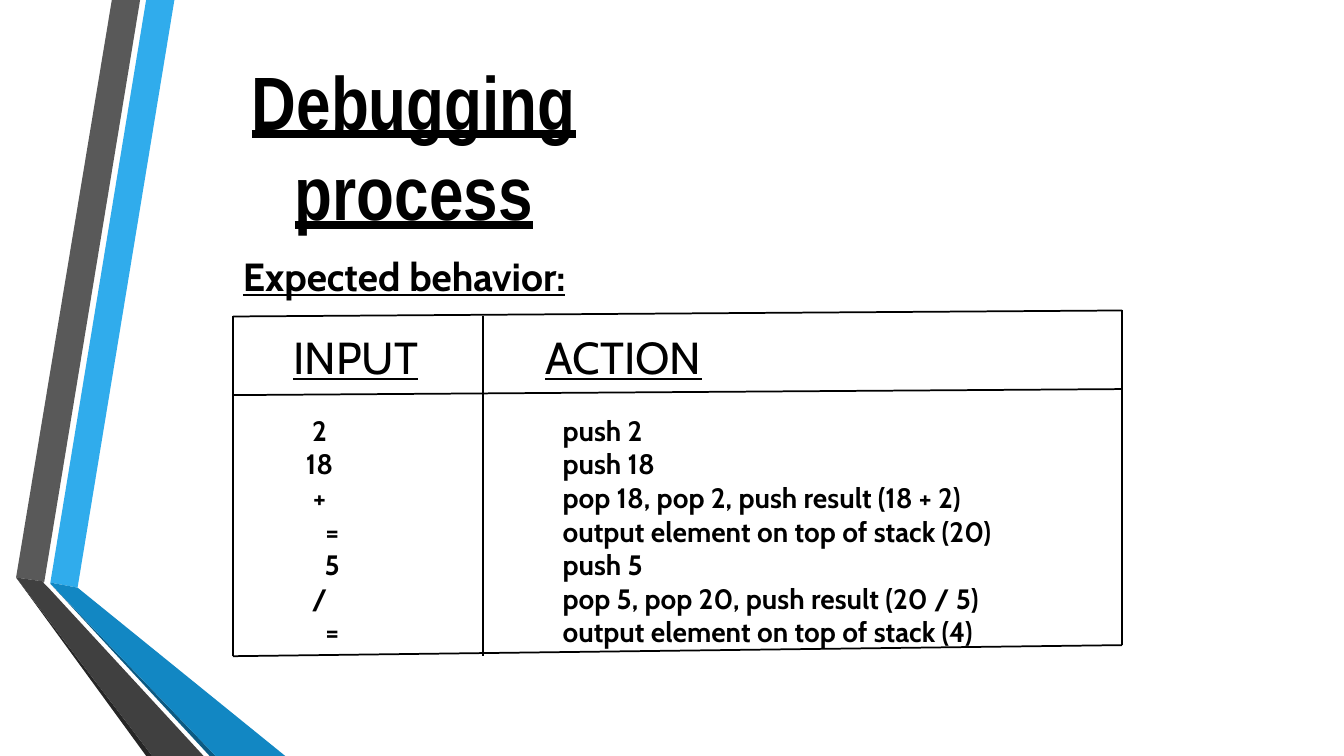
from lxml.etree import SubElement
from pptx import Presentation
from pptx.dml.color import RGBColor
from pptx.enum.shapes import MSO_CONNECTOR as Connector
from pptx.enum.text import MSO_ANCHOR as Anchor, PP_ALIGN as Align
from pptx.oxml.ns import qn
from pptx.util import Inches, Pt

BLACK = "000000"
LEFT, DIVIDER, RIGHT = 2.31, 4.79, 11.13
TITLE = dict(name="Arial Narrow", size=Pt(54), bold=True, underline=True)
SUBTITLE = dict(name="Cabin", size=Pt(28), bold=True, underline=True)
HEADING = dict(name="Cabin", size=Pt(32), underline=True)
BODY = dict(name="Cabin", size=Pt(20), bold=True)

RIBBONS = [
    ("30ACEC", [(0.5, 5.78), (0.77, 5.83), (1.73, 0), (1.45, 0)]),
    ("595959", [(1.39, 0), (1.11, 0), (0.16, 5.73), (0.44, 5.77)]),
    ("262626", [(0.16, 5.73), (1.45, 7.5), (1.51, 7.5)]),
    ("0C5A82", [(0.5, 5.79), (2.08, 7.5), (2.14, 7.5)]),
    ("1287C3", [(0.5, 5.79), (2.14, 7.5), (2.83, 7.5), (0.77, 5.83), (0.5, 5.78)]),
    ("404040", [(2.02, 7.5), (0.48, 5.83), (0.43, 5.78), (0.44, 5.77),
                (0.16, 5.73), (1.51, 7.5)]),
]
# Input, its indent, and the action it triggers
STEPS = [
    ("2", 0, "push 2"),
    ("18", 0, "push 18"),
    ("+", 0, "pop 18, pop 2, push result (18 + 2)"),
    ("=", 0.25, "output element on top of stack (20)"),
    ("5", 0.25, "push 5"),
    ("/", 0, "pop 5, pop 20, push result (20 / 5)"),
    ("=", 0.25, "output element on top of stack (4)"),
]
TABLE_LINES = [
    (DIVIDER, 3.14, DIVIDER, 6.51),
    (LEFT, 3.14, RIGHT, 3.08),
    (LEFT, 3.14, LEFT, 6.51),
    (LEFT, 6.51, RIGHT, 6.4),
    (RIGHT, 3.08, RIGHT, 6.4),
    (LEFT, 3.92, RIGHT, 3.86),
]


def color(value):
    """Turn a hex string into a colour."""
    return RGBColor.from_string(value)


class Painter:
    """Holds the line and text style and the current page."""

    def __init__(self, page, ink=BLACK, weight=1.25):
        """Keep the page, the ink colour and the line weight."""
        self.page, self.ink, self.weight = page, ink, weight

    def ribbon(self, fill, points):
        """Draw a closed outline with a plain fill."""
        start, *rest = [(Inches(x), Inches(y)) for x, y in points]
        builder = self.page.shapes.build_freeform(*start, scale=1.0)
        builder.add_line_segments(rest, close=True)
        shape = builder.convert_to_shape()
        shape.shadow.inherit = False
        shape.fill.solid()
        shape.fill.fore_color.rgb = color(fill)
        shape.line.fill.background()

    def line(self, *ends):
        """Draw a straight line from x, y to x, y."""
        line = self.page.shapes.add_connector(
            Connector.STRAIGHT, *[Inches(end) for end in ends])
        line.line.color.rgb = color(self.ink)
        line.line.width = Pt(self.weight)
        SubElement(line._element.spPr, qn("a:effectLst"))

    def text(self, area, lines, style, align=Align.LEFT, anchor=Anchor.TOP, indents=()):
        """Write one paragraph per line, with an optional indent for each."""
        box = self.page.shapes.add_textbox(*[Inches(length) for length in area])
        frame = box.text_frame
        layout = dict(word_wrap=True, vertical_anchor=anchor, margin_left=0,
                      margin_right=0, margin_top=0, margin_bottom=0)
        for key, value in layout.items():
            setattr(frame, key, value)
        for index, line in enumerate(lines):
            para = frame.paragraphs[0] if index == 0 else frame.add_paragraph()
            para.alignment = align
            if indents:
                para._p.get_or_add_pPr().set("marL", str(Inches(indents[index])))
            span = para.add_run()
            span.text = line
            for key, value in style.items():
                setattr(span.font, key, value)
            span.font.color.rgb = color(self.ink)


def main():
    """Build the deck and save it."""
    deck = Presentation()
    deck.slide_width, deck.slide_height = Inches(13.33), Inches(7.5)
    painter = Painter(deck.slides.add_slide(deck.slide_layouts[6]))

    for fill, points in RIBBONS:
        painter.ribbon(fill, points)
    painter.text((1.54, 0.45, 5.13, 1.98), ["Debugging process"], TITLE,
                 Align.CENTER, Anchor.MIDDLE)
    painter.text((2.41, 2.5, 5, 0.5), ["Expected behavior:"], SUBTITLE)
    for left, heading in ((2.91, "INPUT"), (5.41, "ACTION")):
        painter.text((left, 3.27, 1.8, 0.55), [heading], HEADING)

    inputs, indents, actions = zip(*STEPS)
    painter.text((2.67, 4.1, 1, 2.36), inputs, BODY, Align.CENTER, indents=indents)
    painter.text((5.58, 4.1, 5.4, 2.36), actions, BODY)
    for ends in TABLE_LINES:
        painter.line(*ends)

    deck.save("out.pptx")


main()
